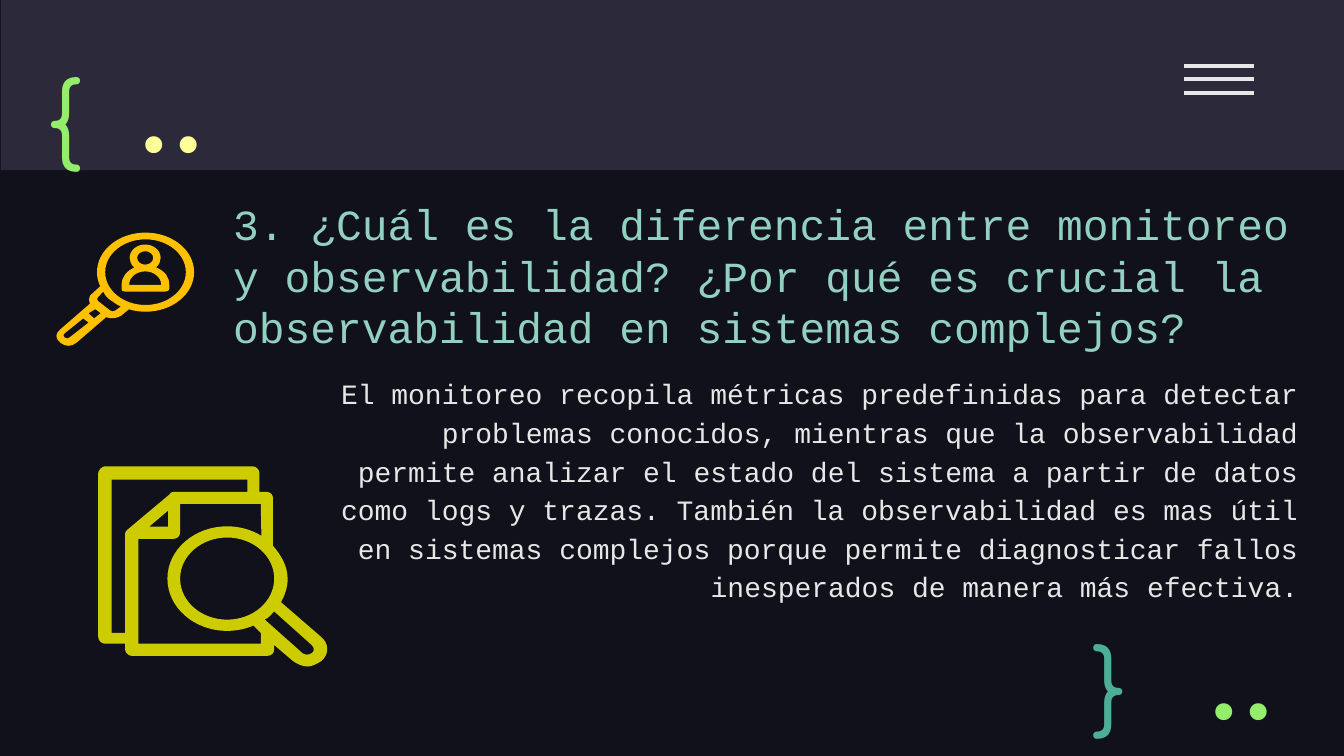
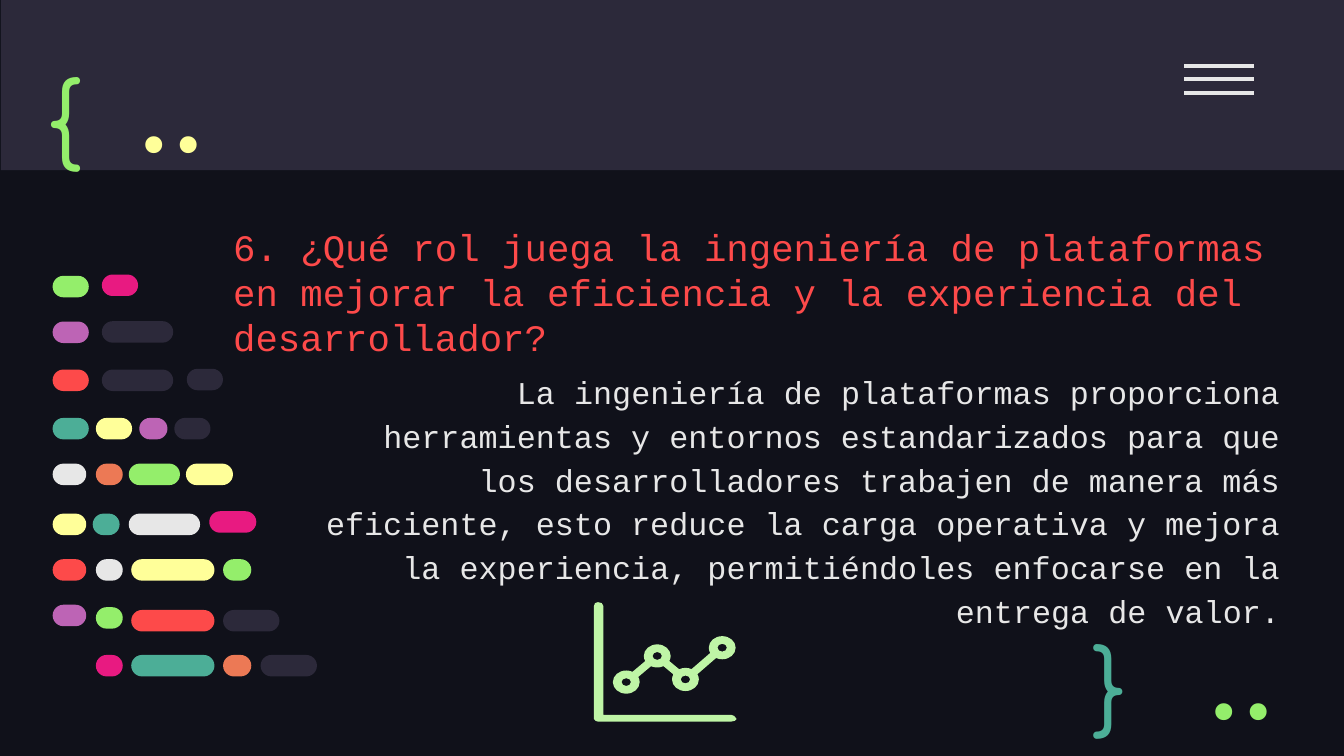
from dataclasses import dataclass
from itertools import pairwise
from math import atan2, cos, degrees, radians, sin, tan

from lxml import etree
from pptx import Presentation
from pptx.dml.color import RGBColor
from pptx.enum.shapes import MSO_CONNECTOR, MSO_SHAPE
from pptx.enum.text import MSO_ANCHOR, MSO_AUTO_SIZE, PP_ALIGN
from pptx.oxml.ns import qn
from pptx.util import Pt

RECTANGLE, PILL = MSO_SHAPE.RECTANGLE, MSO_SHAPE.ROUNDED_RECTANGLE
STRAIGHT = MSO_CONNECTOR.STRAIGHT
TOP, MIDDLE, BOTTOM = MSO_ANCHOR.TOP, MSO_ANCHOR.MIDDLE, MSO_ANCHOR.BOTTOM
LEFT, RIGHT = PP_ALIGN.LEFT, PP_ALIGN.RIGHT
NO_FIT = MSO_AUTO_SIZE.NONE
TITLE_ONLY = 5
PILL_HEIGHT = 11.5


@dataclass(frozen=True)
class Theme:
    night: str = "10111A"
    band: str = "2C293A"
    white: str = "E7E7E7"
    mint: str = "92D0C1"
    green: str = "94EE6B"
    pale_green: str = "BFF5A6"
    teal: str = "4CAE97"
    yellow: str = "FFFF99"
    red: str = "FD4A4A"
    pink: str = "E81A81"
    purple: str = "BD64B5"
    orange: str = "EC7955"
    amber: str = "FFC000"
    olive: str = "CCCC00"
    code_font: str = "Courier New"
    brace_font: str = "Comfortaa"
    dots_font: str = "Fira Code"
    mark_size: float = 50


THEME = Theme()
Box = tuple[float, float, float, float]
Contour = list[tuple[float, ...]]


@dataclass(frozen=True)
class Mark:
    text: str
    box: Box
    color: str
    font: str
    anchor: MSO_ANCHOR
    align: PP_ALIGN


@dataclass(frozen=True)
class Question:
    title: str
    title_box: Box
    title_size: float
    title_color: str
    answer: str
    answer_box: Box
    answer_size: float


@dataclass(frozen=True)
class Pill:
    left: float
    top: float
    width: float
    color: str


@dataclass(frozen=True)
class Icon:
    color: str
    contours: list[Contour]


def arc(cx: float, cy: float, rx: float, ry: float, start: float = 0, stop: float = 360) -> Contour:
    low, high = sorted((start, stop))
    quarters = [a for a in range(-720, 1081, 90) if low < a < high]
    bounds = sorted([start, *quarters, stop], reverse=start > stop)
    steps: Contour = [(cx + rx * cos(radians(start)), cy + ry * sin(radians(start)))]
    for a, b in pairwise(map(radians, bounds)):
        k = 4 / 3 * tan((b - a) / 4)
        steps.append((cx + rx * (cos(a) - k * sin(a)), cy + ry * (sin(a) + k * cos(a)),
                      cx + rx * (cos(b) + k * sin(b)), cy + ry * (sin(b) - k * cos(b)),
                      cx + rx * cos(b), cy + ry * sin(b)))
    return steps


def trend_contours() -> list[Contour]:
    nodes = [(335.5, 365.4), (352.1, 351.4), (367.2, 364), (386.9, 347)]
    rx, ry, half_link = 7.2, 6.2, 18
    trip = nodes + nodes[-2:0:-1]
    outline: Contour = []
    for i, (x, y) in enumerate(trip):
        before, after = trip[i - 1], trip[(i + 1) % len(trip)]
        start, stop = (degrees(atan2((py - y) / ry, (px - x) / rx)) for px, py in (before, after))
        start += half_link
        outline += arc(x, y, rx, ry, start, start + (stop - half_link - start) % 360)
    return [outline] + [arc(x, y, 2.5, 2.1) for x, y in nodes]


PERSON = Icon(THEME.amber, [
    [*arc(77.8, 138.2, 8.3, 7.2, 135, 405), (88.6, 145.4, 90.7, 148.3, 90.7, 152.6), (90.7, 154.8),
     (90.7, 155.5, 90, 156.2, 88.6, 156.2), (67, 156.2), (65.5, 156.2, 64.8, 155.5, 65.2, 154.8),
     (65.2, 152.6), (65.2, 148.3, 67.7, 145.4, 72, 143.3)],
    arc(77.8, 138.2, 4.3, 3.6),
    arc(77.8, 152.6, 8.6, 7.2, 180, 360),
])
MAGNIFIER = Icon(THEME.amber, [
    [*arc(78, 145.8, 26, 21.2, 110, -201), (49.7, 157), (47.5, 158.4, 47.5, 160.6, 48.2, 162.7),
     (32.4, 176.4), (29.5, 178.6, 29.5, 181.4, 32.4, 183.6), (35, 185.8, 38.4, 185.8, 41, 183.6),
     (56.9, 169.9), (59.5, 171, 62.4, 170.6, 64.8, 169.2)],
    arc(78, 145.8, 21.6, 17.6),
    [(55.4, 156.2), (56.2, 158.4, 58, 160, 59, 160.6), (61.2, 162, 62.6, 163.4, 64.8, 164.2),
     (61.9, 166.3), (61.2, 167, 59.8, 167, 59, 166.3), (52.6, 161.3),
     (51.8, 160.6, 51.8, 159.8, 52.6, 159.1)],
    [(51.1, 165.6), (54, 167.8), (50.4, 170.6), (47.5, 167.8)],
    [(44.6, 170.6), (47.5, 172.8), (37.4, 180.7), (36.7, 181.6, 35.3, 181.6, 34.6, 180.7),
     (33.8, 180, 33.8, 179.3, 34.6, 178.6)],
])
DOCUMENTS = Icon(THEME.olive, [
    [(56.2, 249.8), (54.7, 249.8, 52.6, 252, 52.6, 253.4), (52.6, 341.3),
     (52.6, 343.4, 54.7, 344.9, 56.2, 344.9), (67, 344.9), (67, 347.8),
     (67, 349.9, 69.1, 351.4, 70.6, 351.4), (143.3, 351.4),
     (145.4, 351.4, 146.9, 349.9, 146.9, 347.8), (146.9, 345.6), (157, 354.2),
     (159.1, 355.7, 162, 357.1, 164.9, 357.1), (167, 357.1, 169.9, 355.7, 172.1, 354.2),
     (176.4, 350.6, 176.4, 344.9, 172.1, 341.3), (150.5, 322.6),
     (152.6, 319, 154.1, 314.6, 154.1, 310.3), (154.1, 303.1, 150.5, 297.4, 146.2, 292.3),
     (146.2, 266.4), (146.2, 265, 144.7, 263.5, 142.6, 263.5), (139, 263.5), (139, 253.4),
     (139, 252, 137.5, 249.8, 135.4, 249.8)],
    [(90, 273.6), (90, 282.2), (79.9, 282.2)],
    arc(121.7, 310, 25.2, 22),
    [(132.5, 257), (132.5, 263.5), (92.9, 263.5), (92.2, 263.5, 90.7, 264.2, 90.7, 265),
     (68.4, 283.7), (67.7, 284.4, 67, 285.1, 67, 285.8), (67, 339.1), (59.8, 339.1), (59.8, 257)],
    [(139.7, 270), *arc(121.7, 310, 32, 28, 305, 64), (139.7, 339.1), (139.7, 344.9),
     (74.2, 344.9), (74.2, 288.7), (92.9, 288.7), (95, 288.7, 96.5, 287.3, 96.5, 285.1), (96.5, 270)],
    [(146.9, 327.6), (167, 345.6), (168.5, 347, 168.5, 349.2, 167, 349.9),
     (165.6, 351, 163.4, 351, 162, 349.9), (141.8, 331.9), (144, 331.2, 145.4, 329, 146.9, 327.6)],
])
AXES = Icon(THEME.pale_green, [
    [(320.4, 322.6), (319, 322.6, 318.2, 323.3, 318.2, 324.7), (318.2, 385.2),
     (318.2, 385.9, 319.7, 386.6, 320.4, 386.6), (391.7, 386.6),
     (393.1, 386.6, 394.6, 385.9, 394.6, 385.2), (393.8, 383.8, 393.1, 383, 391.7, 383),
     (323.3, 383), (323.3, 324.7), (323.3, 323.3, 321.8, 322.6, 320.4, 322.6)],
])
TREND = Icon(THEME.pale_green, trend_contours())

MARKS = [
    Mark("{", (18, 23.4, 55.4, 68.4), THEME.green, THEME.brace_font, TOP, LEFT),
    Mark("}", (578.2, 327.3, 41, 59.8), THEME.teal, THEME.brace_font, TOP, LEFT),
    Mark("..", (626, 343.8, 77, 43.2), THEME.green, THEME.dots_font, MIDDLE, RIGHT),
    Mark("..", (52.6, 40.3, 77, 43.2), THEME.yellow, THEME.dots_font, MIDDLE, RIGHT),
]

CODE_LINES = [
    Pill(28.2, 147.8, 19.4, THEME.green), Pill(54.6, 147.1, 19.4, THEME.pink),
    Pill(28.2, 172.3, 19.4, THEME.purple), Pill(54.6, 172.1, 38.2, THEME.band),
    Pill(28.2, 198, 19.4, THEME.red), Pill(54.6, 198, 38.2, THEME.band),
    Pill(100.1, 197.6, 19.4, THEME.band),
    Pill(28.2, 223.9, 19.4, THEME.teal), Pill(51.4, 223.9, 19.4, THEME.yellow),
    Pill(74.6, 223.9, 15.1, THEME.purple), Pill(93.4, 223.9, 19.4, THEME.band),
    Pill(28.2, 248.4, 18, THEME.white), Pill(51.4, 248.4, 14.4, THEME.orange),
    Pill(69, 248.4, 27.4, THEME.green), Pill(99.6, 248.4, 25.2, THEME.yellow),
    Pill(28.2, 275.2, 18, THEME.yellow), Pill(49.7, 275.2, 14.4, THEME.teal),
    Pill(69, 275.2, 38.2, THEME.white), Pill(112.1, 273.9, 25.2, THEME.pink),
    Pill(28.2, 299.6, 18, THEME.red), Pill(51.4, 299.6, 14.4, THEME.white),
    Pill(70.3, 299.6, 44.6, THEME.yellow), Pill(119.5, 299.6, 15.1, THEME.green),
    Pill(28.2, 324, 18, THEME.purple), Pill(51.4, 325.3, 14.4, THEME.green),
    Pill(70.3, 326.8, 44.6, THEME.red), Pill(119.5, 326.8, 30.2, THEME.band),
    Pill(51.4, 350.9, 14.4, THEME.pink), Pill(70.3, 350.9, 44.6, THEME.teal),
    Pill(119.5, 350.9, 15.1, THEME.orange), Pill(139.6, 350.9, 30.2, THEME.band),
]

OBSERVABILITY = Question(
    "3. ¿Cuál es la diferencia entre monitoreo y observabilidad? "
    "¿Por qué es crucial la observabilidad en sistemas complejos?",
    (117.7, 98.7, 596.2, 97.9), 23, THEME.mint,
    "El monitoreo recopila métricas predefinidas para detectar problemas conocidos, mientras que "
    "la observabilidad permite analizar el estado del sistema a partir de datos como logs y trazas. "
    "También la observabilidad es mas útil en sistemas complejos porque permite diagnosticar fallos "
    "inesperados de manera más efectiva.",
    (167.9, 210.4, 535, 120.2), 15)
PLATFORMS = Question(
    "6. ¿Qué rol juega la ingeniería de plataformas en mejorar la eficiencia "
    "y la experiencia del desarrollador?",
    (117.7, 113, 596.2, 69.1), 20, THEME.red,
    "La ingeniería de plataformas proporciona herramientas y entornos estandarizados para que "
    "los desarrolladores trabajen de manera más eficiente, esto reduce la carga operativa y mejora "
    "la experiencia, permitiéndoles enfocarse en la entrega de valor.",
    (158, 190.5, 535, 154.1), 17)


def write(holder, text: str, *, size: float, color: str, font: str, anchor=TOP, align=LEFT,
          spacing: float = 1.0) -> None:
    frame = holder.text_frame
    frame.word_wrap = True
    frame.auto_size = NO_FIT
    frame.vertical_anchor = anchor
    frame.margin_left = frame.margin_right = frame.margin_top = frame.margin_bottom = Pt(7.2)
    paragraph = frame.paragraphs[0]
    paragraph.alignment = align
    paragraph.line_spacing = spacing
    run = paragraph.add_run()
    run.text = text
    run.font.size = Pt(size)
    run.font.name = font
    run.font.color.rgb = RGBColor.from_string(color)


def paint(shape, color: str) -> None:
    shape.shadow.inherit = False
    shape.fill.solid()
    shape.fill.fore_color.rgb = RGBColor.from_string(color)
    shape.line.fill.background()


def bend(outline, contours: list[Contour]) -> None:
    commands = iter([c for c in outline if c.tag != qn("a:close")])
    for contour in contours:
        next(commands)
        for step in contour[1:]:
            segments = [next(commands) for _ in range(len(step) // 2)]
            if len(segments) == 3:
                curve = etree.Element(qn("a:cubicBezTo"))
                segments[0].addprevious(curve)
                for segment in segments:
                    curve.append(segment[0])
                    outline.remove(segment)


def add_icon(slide, icon: Icon) -> None:
    builder = None
    for contour in icon.contours:
        first, *rest = [(Pt(s[i]), Pt(s[i + 1])) for s in contour for i in range(0, len(s), 2)]
        if builder is None:
            builder = slide.shapes.build_freeform(*first)
        else:
            builder.move_to(*first)
        builder.add_line_segments(rest, close=True)
    shape = builder.convert_to_shape()
    bend(shape._element.spPr.find(".//" + qn("a:path")), icon.contours)
    paint(shape, icon.color)


def add_pill(slide, pill: Pill) -> None:
    shape = slide.shapes.add_shape(PILL, Pt(pill.left), Pt(pill.top), Pt(pill.width), Pt(PILL_HEIGHT))
    shape.adjustments[0] = 0.5
    paint(shape, pill.color)


def add_header(slide) -> None:
    paint(slide.shapes.add_shape(RECTANGLE, Pt(0.5), Pt(0), Pt(720), Pt(91.2)), THEME.band)
    for row in range(3):
        y = Pt(35.3 + 7.2 * row)
        menu_bar = slide.shapes.add_connector(STRAIGHT, Pt(634.5), y, Pt(672), y)
        menu_bar.line.color.rgb = RGBColor.from_string(THEME.white)
        menu_bar.line.width = Pt(2.25)
        etree.SubElement(menu_bar._element.spPr, qn("a:effectLst"))


def add_question(deck, question: Question):
    slide = deck.slides.add_slide(deck.slide_layouts[TITLE_ONLY])
    add_header(slide)
    answer = slide.shapes.add_textbox(*map(Pt, question.answer_box))
    write(answer, question.answer, size=question.answer_size, color=THEME.white,
          font=THEME.code_font, anchor=BOTTOM, align=RIGHT, spacing=1.15)
    title = slide.shapes.title
    title.left, title.top, title.width, title.height = map(Pt, question.title_box)
    write(title, question.title, size=question.title_size, color=question.title_color,
          font=THEME.code_font)
    for mark in MARKS:
        write(slide.shapes.add_textbox(*map(Pt, mark.box)), mark.text, size=THEME.mark_size,
              color=mark.color, font=mark.font, anchor=mark.anchor, align=mark.align)
    return slide


def main() -> None:
    deck = Presentation()
    deck.slide_width, deck.slide_height = Pt(720), Pt(405)
    backdrop = deck.slide_master.background.fill
    backdrop.solid()
    backdrop.fore_color.rgb = RGBColor.from_string(THEME.night)

    observability = add_question(deck, OBSERVABILITY)
    for icon in (PERSON, MAGNIFIER, DOCUMENTS):
        add_icon(observability, icon)

    platforms = add_question(deck, PLATFORMS)
    for pill in CODE_LINES:
        add_pill(platforms, pill)
    for icon in (AXES, TREND):
        add_icon(platforms, icon)

    deck.save("out.pptx")


if __name__ == "__main__":
    main()
